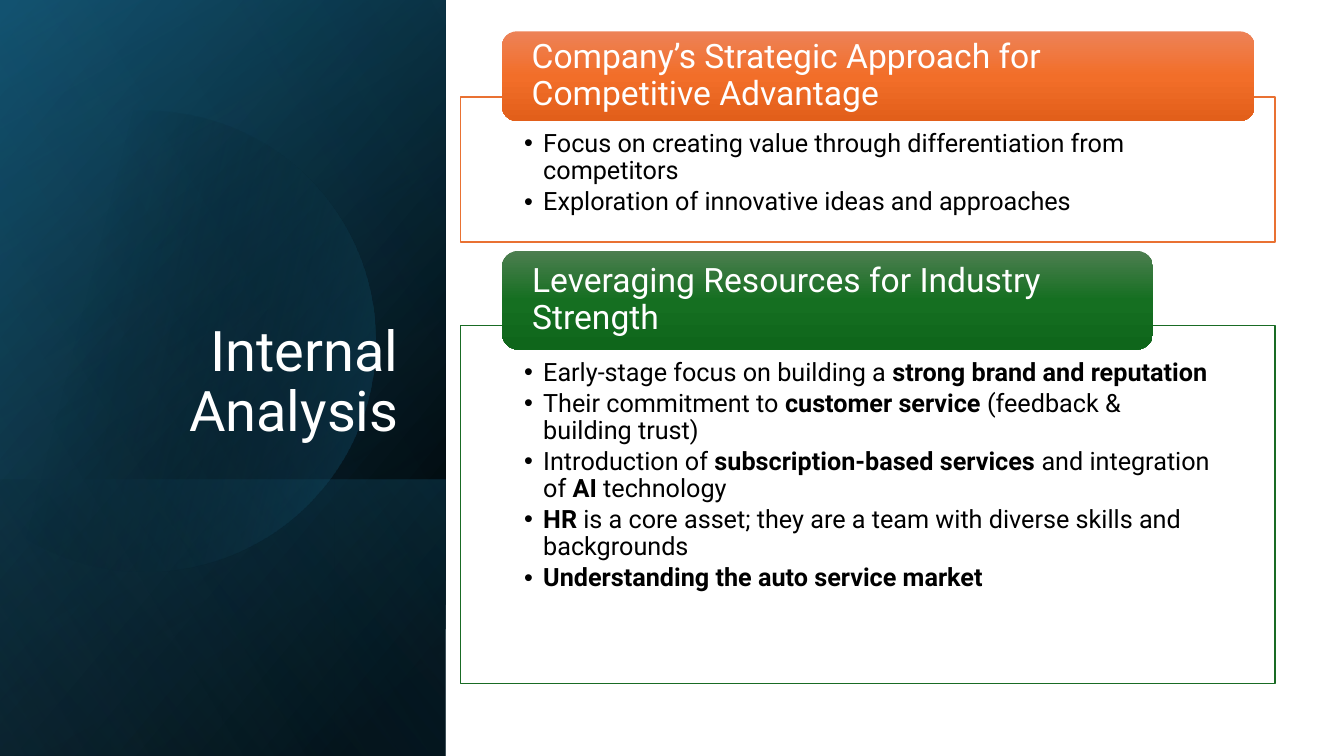
"""Build the Internal Analysis slide with two headed lists."""
from dataclasses import dataclass
from math import acos, cos, pi, sin
from typing import Any

from lxml.etree import SubElement
from pptx import Presentation
from pptx.dml.color import RGBColor
from pptx.enum.shapes import MSO_SHAPE
from pptx.enum.text import MSO_ANCHOR, MSO_AUTO_SIZE, PP_ALIGN
from pptx.oxml import parse_xml
from pptx.oxml.ns import nsdecls, qn
from pptx.util import Cm, Pt

COLORS = {
    "black": "000000", "white": "FFFFFF", "navy": "104862", "teal": "156082",
    "sky": "46B1E1", "orange": "E97132", "orange_top": "ED8257",
    "orange_mid": "F26E29", "orange_low": "E25F1A", "green": "196B24",
    "green_top": "4D7E50", "green_mid": "156F21", "green_low": "0F661B",
}
FONT = "Roboto"
Stop = tuple[int, str, int]


@dataclass
class Layer:
    left: float
    top: float
    width: float
    angle: int
    stops: list[Stop]


@dataclass
class Section:
    heading: str
    items: list[str]
    color: str
    box_top: float
    box_height: float
    head_top: float
    head_width: float
    head_height: float


PANEL_W, PANEL_H = 11.23, 19.05
LAYERS = [
    Layer(-3.91, 3.91, PANEL_H, 50, [(8, "black", 100), (100, "navy", 100)]),
    Layer(-3.91, 3.91, PANEL_H, 30, [(0, "black", 0), (99, "teal", 46)]),
    Layer(2.13, 9.96, 6.96, 130, [(2, "teal", 29), (100, "black", 30)]),
]
GLOW = Layer(-3.91, 3.91, PANEL_H, 120, [(0, "black", 0), (99, "sky", 11)])
SECTIONS = [
    Section("Company’s Strategic Approach for Competitive Advantage", [
        "Focus on creating value through differentiation from competitors",
        "Exploration of innovative ideas and approaches",
    ], "orange", 2.44, 3.66, 0.79, 18.97, 2.26),
    Section("Leveraging Resources for Industry Strength", [
        "Early-stage focus on building a *strong brand and reputation*",
        "Their commitment to *customer service *(feedback & building trust)",
        "Introduction of *subscription-based services *and integration of *AI *technology",
        "*HR* is a core asset; they are a team with diverse skills and backgrounds",
        "*Understanding the auto service market*",
    ], "green", 8.2, 9.02, 6.32, 16.41, 2.49),
]


def rgb(name: str) -> RGBColor:
    """Return the named colour."""
    return RGBColor.from_string(COLORS[name])


def apply(obj: Any, values: dict[str, Any]) -> None:
    """Set each attribute of an object from a dict."""
    for name, value in values.items():
        setattr(obj, name, value)


def place(sp: Any, left: float, top: float, width: float, height: float) -> None:
    """Move and size a shape in centimetres."""
    apply(sp, {"left": Cm(left), "top": Cm(top), "width": Cm(width), "height": Cm(height)})


def gradient(sp: Any, angle: int, stops: list[Stop]) -> None:
    """Give a shape a linear gradient and neither line nor shadow."""
    sp.shadow.inherit = False
    sp.line.fill.background()
    sp.fill.background()
    grad = parse_xml(f'<a:gradFill {nsdecls("a")} rotWithShape="1"><a:gsLst/></a:gradFill>')
    for pos, color, opacity in stops:
        gs = SubElement(grad[0], qn("a:gs"), pos=str(pos * 1000))
        clr = SubElement(gs, qn("a:srgbClr"), val=COLORS[color])
        SubElement(clr, qn("a:alpha"), val=str(opacity * 1000))
    SubElement(grad, qn("a:lin"), ang=str(angle * 60000), scaled="0")
    spPr = sp._element.spPr
    spPr.replace(spPr.find(qn("a:noFill")), grad)


def add_layer(s: Any, layer: Layer) -> None:
    """Draw one turned and mirrored gradient layer of the side panel."""
    sp = s.shapes.add_shape(MSO_SHAPE.RECTANGLE, Cm(layer.left), Cm(layer.top),
                            Cm(layer.width), Cm(PANEL_W))
    sp.rotation = 90
    sp._element.spPr.find(qn("a:xfrm")).set("flipH", "1")
    gradient(sp, layer.angle, layer.stops)


def add_disc(s: Any) -> None:
    """Draw the circle that is cut off at the left of the panel."""
    cx, cy, radius, cut, steps = 3.66, 8.6, 5.8, -0.38, 120
    end = acos((cut - cx) / radius)
    angles = [-end + 2 * end * i / steps for i in range(steps + 1)]
    pts = [(Cm(cx + radius * cos(a)), Cm(cy + radius * sin(a))) for a in angles]
    fb = s.shapes.build_freeform(*pts[0])
    fb.add_line_segments(pts[1:], close=True)
    gradient(fb.convert_to_shape(), 14, [(29, "black", 0), (100, "teal", 43)])


def write(p: Any, text: str, size: int, color: str, after: float = 0,
          align: PP_ALIGN = PP_ALIGN.LEFT) -> None:
    """Fill a paragraph, with the parts between asterisks in bold."""
    apply(p, {"line_spacing": 0.9, "space_before": Pt(0), "space_after": Pt(after),
              "alignment": align})
    for i, part in enumerate(text.split("*")):
        if part:
            r = p.add_run()
            r.text = part
            apply(r.font, {"size": Pt(size), "name": FONT, "bold": i % 2 == 1})
            r.font.color.rgb = rgb(color)


def frame(sp: Any, anchor: MSO_ANCHOR, x: float, top: float, bottom: float) -> Any:
    """Set the wrapping, anchor and margins of a text frame."""
    tf = sp.text_frame
    apply(tf, {"word_wrap": True, "auto_size": MSO_AUTO_SIZE.NONE,
               "vertical_anchor": anchor, "margin_left": Cm(x), "margin_right": Cm(x),
               "margin_top": Cm(top), "margin_bottom": Cm(bottom)})
    return tf


def to_front(s: Any, sp: Any) -> None:
    """Bring a shape to the front."""
    s.shapes._spTree.append(sp._element)


def add_section(s: Any, body: Any, sec: Section) -> None:
    """Draw a bordered list with its heading on the top edge."""
    to_front(s, body)
    place(body, 11.61, sec.box_top, 20.52, sec.box_height)
    body.fill.solid()
    body.fill.fore_color.rgb = rgb("white")
    body.line.color.rgb = rgb(sec.color)
    body.line.width = Pt(1)
    tf = frame(body, MSO_ANCHOR.TOP, 1.6, 0.86, 0.36)
    for i, item in enumerate(sec.items):
        p = tf.add_paragraph() if i else tf.paragraphs[0]
        pPr = p._p.get_or_add_pPr()
        pPr.set("marL", str(Cm(0.48)))
        pPr.set("indent", str(-Cm(0.48)))
        write(p, item, 18, "black", after=2.7)

    head = s.shapes.add_shape(MSO_SHAPE.ROUNDED_RECTANGLE, Cm(12.65), Cm(sec.head_top),
                              Cm(sec.head_width), Cm(sec.head_height))
    gradient(head, 90, [(pos, f"{sec.color}_{part}", 100)
                        for pos, part in ((0, "top"), (50, "mid"), (100, "low"))])
    tf = frame(head, MSO_ANCHOR.MIDDLE, 0.64, 0.1, 0.1)
    write(tf.paragraphs[0], sec.heading, 24, "white")


def main() -> None:
    """Build and save the slide."""
    prs = Presentation()
    apply(prs, {"slide_width": Cm(33.87), "slide_height": Cm(19.05)})
    s = prs.slides.add_slide(prs.slide_layouts[3])
    title, *bodies = list(s.placeholders)
    for layer in LAYERS:
        add_layer(s, layer)
    add_disc(s)
    add_layer(s, GLOW)

    to_front(s, title)
    place(title, 1.63, 4.67, 8.66, 6.65)
    tf = frame(title, MSO_ANCHOR.BOTTOM, 0.25, 0.13, 0.13)
    write(tf.paragraphs[0], "Internal Analysis", 40, "white", align=PP_ALIGN.RIGHT)
    for body, sec in zip(bodies, SECTIONS):
        add_section(s, body, sec)
    prs.save("out.pptx")


if __name__ == "__main__":
    main()
